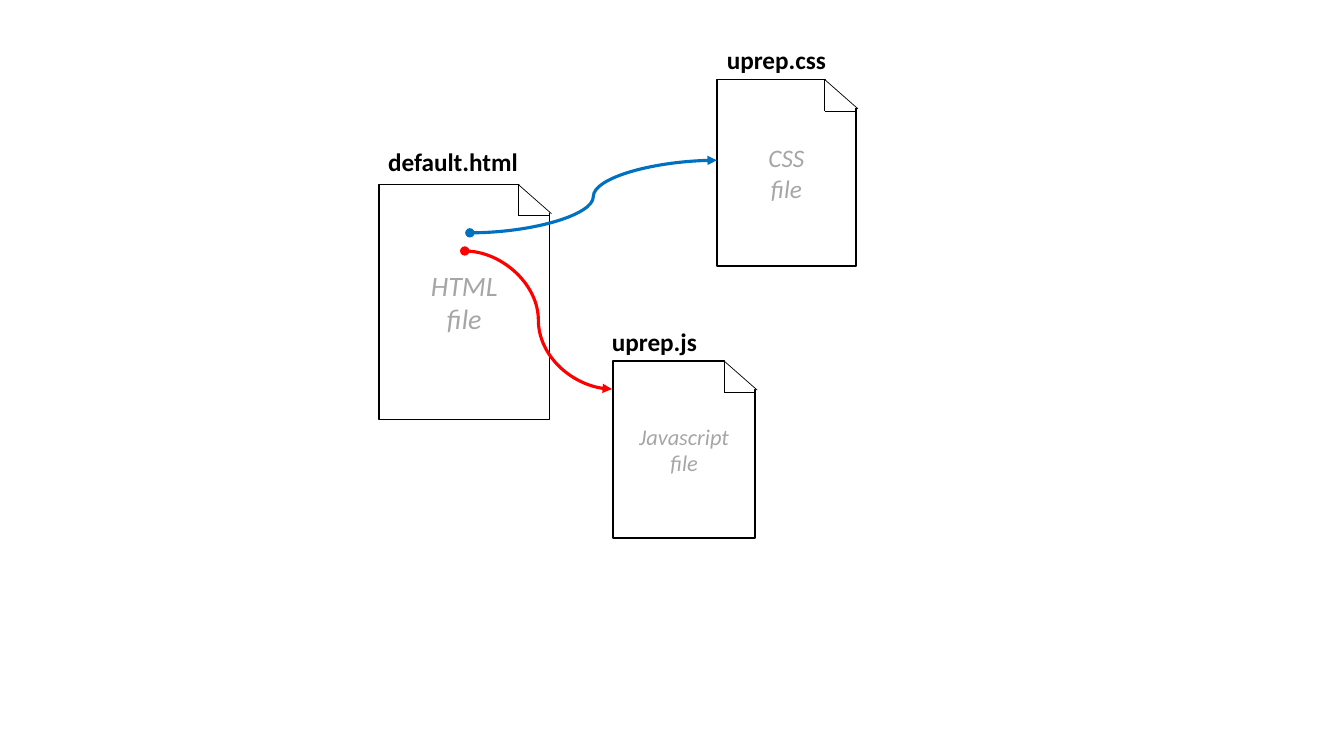
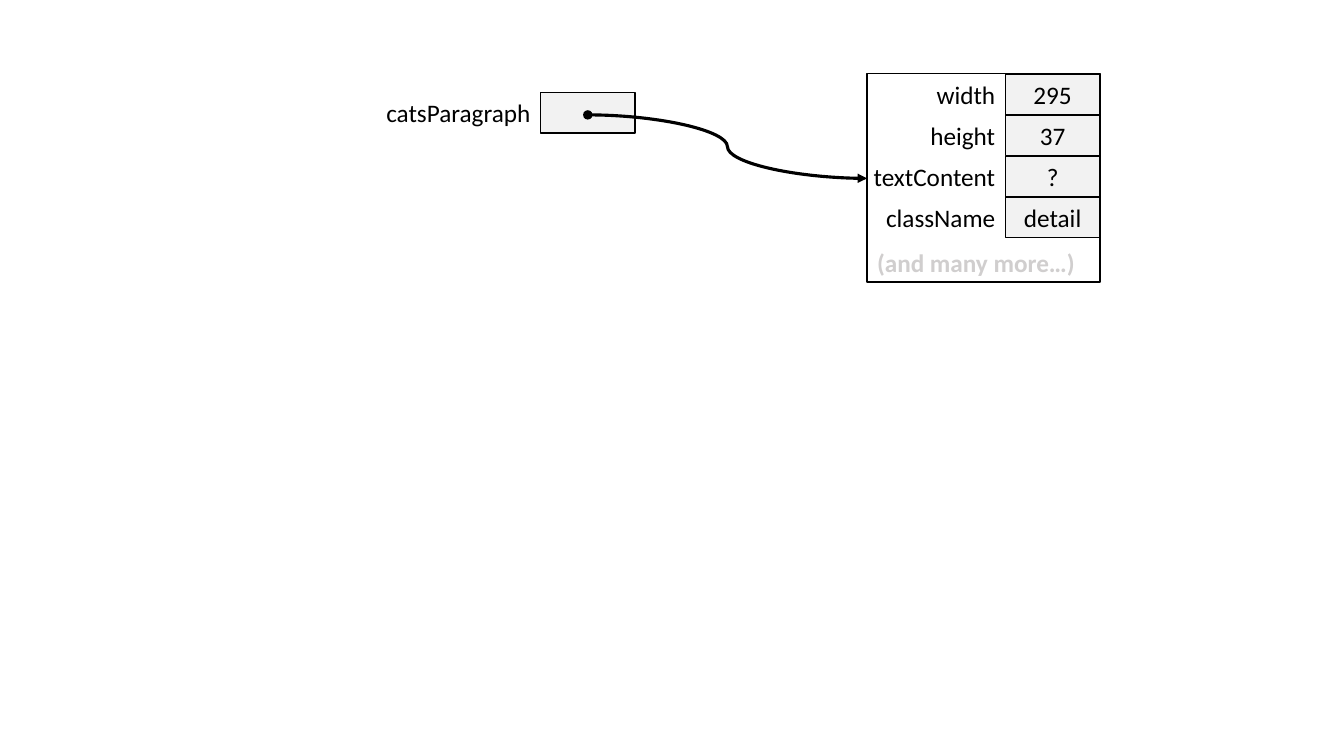
"""Build two slides: linked web files, and a variable pointing at an object."""
import pptx
import pptx.util
import pptx.dml.color
import pptx.enum.shapes
import pptx.enum.text
import pptx.oxml
import pptx.oxml.ns

Inches = pptx.util.Inches
Pt = pptx.util.Pt
ALIGN = pptx.enum.text.PP_ALIGN
LINK = pptx.enum.shapes.MSO_CONNECTOR
COLORS = {"ink": "000000", "paper": "FFFFFF", "cell": "F2F2F2", "hint": "A6A6A6",
          "more": "D0CECE", "css": "0070C0", "js": "FF0000"}
RGB = {name: pptx.dml.color.RGBColor.from_string(code) for name, code in COLORS.items()}
FONT = "Calibri"
ROW = 0.4


def add_box(slide, left, top, width, height, fill=None, edge=True):
    box = slide.shapes.add_shape(pptx.enum.shapes.MSO_SHAPE.RECTANGLE,
                                 Inches(left), Inches(top), Inches(width), Inches(height))
    box.shadow.inherit = False
    if fill:
        box.fill.solid()
        box.fill.fore_color.rgb = RGB[fill]
    else:
        box.fill.background()
    if edge:
        box.line.color.rgb = RGB["ink"]
        box.line.width = Pt(1)
    else:
        box.line.fill.background()
    return box


def write(shape, text, align, size=18, color="ink", bold=False, italic=False, wrap=True):
    shape.text_frame.word_wrap = wrap
    paragraph = shape.text_frame.paragraphs[0]
    paragraph.alignment = align
    for number, part in enumerate(text.split("\n")):
        if number:
            paragraph.add_line_break()
        run = paragraph.add_run()
        run.text = part
        run.font.name = FONT
        run.font.size = Pt(size)
        run.font.bold = bold
        run.font.italic = italic
        run.font.color.rgb = RGB[color]


deck = pptx.Presentation()
deck.slide_width = Inches(13.33)
deck.slide_height = Inches(7.5)
files_slide, object_slide = [deck.slides.add_slide(deck.slide_layouts[6]) for _ in range(2)]

files = [
    ("HTML\nfile", 20, 3.76, 1.83, 1.69, 2.33),
    ("CSS\nfile", 18, 7.11, 0.79, 1.38, 1.85),
    ("Javascript\nfile", 16, 6.08, 3.58, 1.41, 1.76),
]
fold = 0.31
strokes = []
for kind, size, left, top, width, height in files:
    page = add_box(files_slide, left, top, width, height, "paper")
    write(page, kind, ALIGN.CENTER, size, "hint", italic=True)
    right = left + width
    crease, bottom = right - fold, top + fold
    add_box(files_slide, crease + 0.01, top - 0.01, 0.32, 0.29, "paper", edge=False)
    for start, end in [((crease, top), (right + 0.02, top + 0.29)),
                       ((crease, top), (crease, bottom)),
                       ((crease, bottom), (right, bottom))]:
        strokes.append((files_slide, LINK.STRAIGHT, start, end, "ink", 0.5))

labels = [
    (files_slide, "default.html", 3.75, 1.4, 1.71, ALIGN.LEFT, "ink", True, True),
    (files_slide, "uprep.css", 7.11, 0.39, 1.38, ALIGN.LEFT, "ink", True, True),
    (files_slide, "uprep.js", 5.97, 3.19, 1.05, ALIGN.LEFT, "ink", True, False),
    (object_slide, "(and many more…)", 8.6, 2.4, 2.31, ALIGN.LEFT, "more", True, True),
]

add_box(object_slide, 8.6, 0.73, 2.31, 2.07)
fields = [("catsParagraph", "", 5.36, 0.92)]
properties = [("width", "295"), ("height", "37"), ("textContent", "?"), ("className", "detail")]
for number, (name, value) in enumerate(properties):
    fields.append((name, value, 9.97, 0.74 + number * 0.405))
name_width = 2.16
for name, value, left, top in fields:
    cell = add_box(object_slide, left, top, 0.94, ROW, "cell")
    if value:
        write(cell, value, ALIGN.CENTER)
    labels.append((object_slide, name, left - name_width, top, name_width,
                   ALIGN.RIGHT, "ink", False, True))

for slide, text, left, top, width, align, color, bold, wrap in labels:
    label = slide.shapes.add_textbox(Inches(left), Inches(top), Inches(width), Inches(ROW))
    write(label, text, align, color=color, bold=bold, wrap=wrap)

strokes += [
    (files_slide, LINK.CURVE, (4.66, 2.31), (7.11, 1.59), "css", 2.25),
    (files_slide, LINK.CURVE, (4.61, 2.49), (6.07, 3.86), "js", 2.25),
    (object_slide, LINK.CURVE, (5.83, 1.14), (8.6, 1.77), "ink", 2.25),
]
for slide, kind, start, end, color, weight in strokes:
    stroke = slide.shapes.add_connector(kind, *[Inches(value) for value in start + end])
    stroke.line.color.rgb = RGB[color]
    stroke.line.width = Pt(weight)
    if kind == LINK.CURVE:
        outline = stroke.line._get_or_add_ln()
        for tag, tip in [("a:headEnd", "oval"), ("a:tailEnd", "triangle")]:
            outline.append(pptx.oxml.parse_xml(
                f'<{tag} {pptx.oxml.ns.nsdecls("a")} type="{tip}"/>'))
    stroke._element.spPr.append(
        pptx.oxml.parse_xml(f'<a:effectLst {pptx.oxml.ns.nsdecls("a")}/>'))

deck.save("out.pptx")
